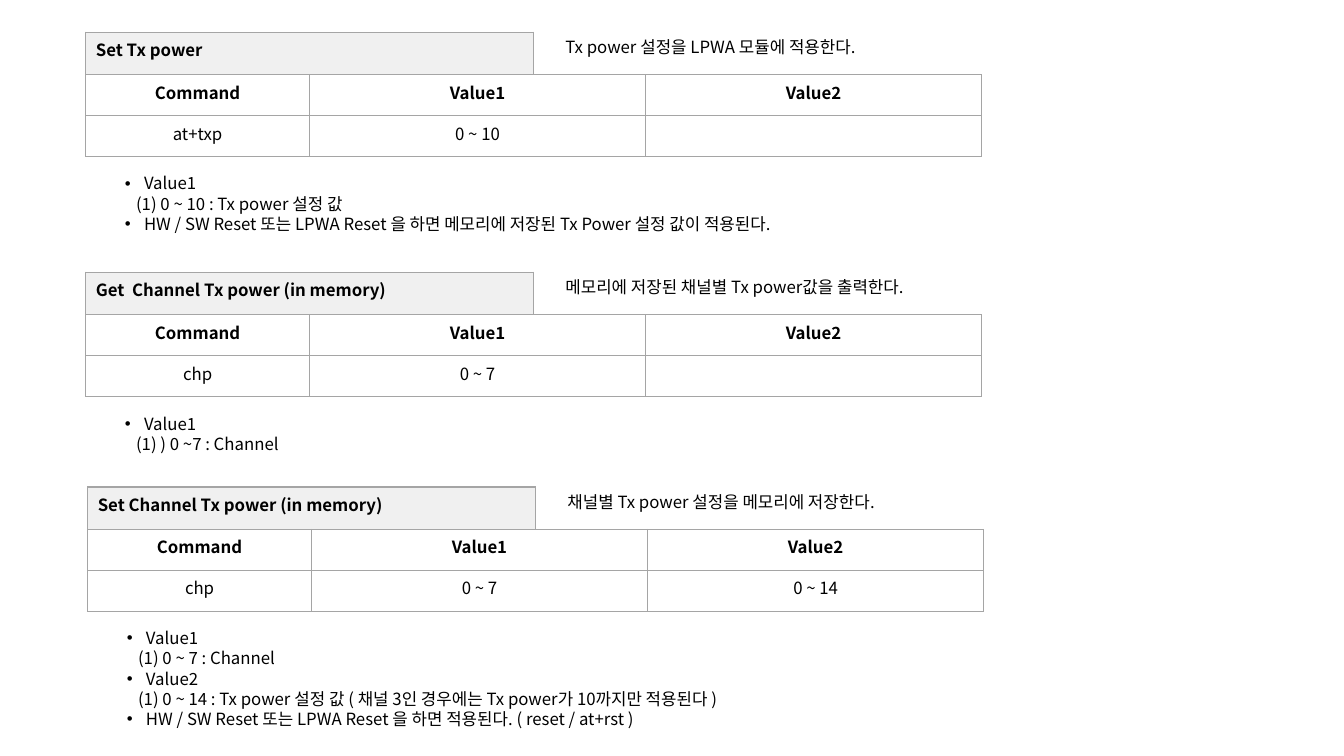
from lxml import etree
from pptx import Presentation
from pptx.dml.color import RGBColor
from pptx.enum import text
from pptx.oxml import ns
from pptx.util import Cm, Pt

FONT = "Noto Sans CJK KR"
COLORS = {"ink": "000000", "line": "A5A5A5", "header": "F0F0F0"}
HEADINGS = ["Command", "Value1", "Value2"]

# Content: left and top in cm; a note is (bulleted, text)
SECTIONS = [
    {
        "at": (2.16, 0.81),
        "name": "Set Tx power",
        "summary": "Tx power 설정을 LPWA 모듈에 적용한다.",
        "values": ["at+txp", "0 ~ 10", ""],
        "notes": [
            (True, "Value1"),
            (False, "(1) 0 ~ 10 : Tx power 설정 값"),
            (True, "HW / SW Reset 또는 LPWA Reset 을 하면 메모리에 저장된 Tx Power 설정 값이 적용된다."),
        ],
    },
    {
        "at": (2.16, 6.86),
        "name": "Get  Channel Tx power (in memory)",
        "summary": "메모리에 저장된 채널별 Tx power값을 출력한다.",
        "values": ["chp", "0 ~ 7", ""],
        "notes": [
            (True, "Value1"),
            (False, "(1) ) 0 ~7 : Channel"),
        ],
    },
    {
        "at": (2.21, 12.27),
        "name": "Set Channel Tx power (in memory)",
        "summary": "채널별 Tx power 설정을 메모리에 저장한다.",
        "values": ["chp", "0 ~ 7", "0 ~ 14"],
        "notes": [
            (True, "Value1"),
            (False, "(1) 0 ~ 7 : Channel"),
            (True, "Value2"),
            (False, "(1) 0 ~ 14 : Tx power 설정 값 ( 채널 3인 경우에는 Tx power가 10까지만 적용된다 )"),
            (True, "HW / SW Reset 또는 LPWA Reset 을 하면 적용된다. ( reset / at+rst )"),
        ],
    },
]

# Layout in cm, offsets from each section's corner
NAME_WIDTH, NAME_HEIGHT = 11.28, 1.07
COLUMN_WIDTHS, ROW_HEIGHT = [5.64, 8.47, 8.47], 1.03
SUMMARY_LEFT, SUMMARY_WIDTH = 11.84, 10
NOTES_LEFT, NOTES_TOP, NOTES_WIDTH = 0.74, 3.43, 18.03
FIRST_LINE, NEXT_LINE = 0.76, 0.52
HANGING, SUB_INDENT = 0.48, 0.28


def add_element(parent, tag, **attributes):
    return etree.SubElement(parent, ns.qn(tag), attributes)


def write(para, content, bold=False, align=text.PP_ALIGN.LEFT, bullet=False, indent=0):
    para.alignment = align
    if bullet or indent:
        properties = para._p.get_or_add_pPr()
        properties.set("marL", str(Cm(indent)))
        properties.set("indent", str(-Cm(indent) if bullet else 0))
        if bullet:
            add_element(properties, "a:buFont", typeface="Arial")
            add_element(properties, "a:buChar", char="•")
    if not content:
        add_element(para._p, "a:endParaRPr", sz="1200")
        return
    span = para.add_run()
    span.text = content
    span.font.name = FONT
    span.font.size = Pt(12)
    span.font.bold = bold
    span.font.color.rgb = RGBColor.from_string(COLORS["ink"])
    add_element(span._r.get_or_add_rPr(), "a:ea", typeface=FONT)


def add_borders(cell):
    properties = cell._tc.get_or_add_tcPr()
    for side in ("a:lnL", "a:lnR", "a:lnT", "a:lnB"):
        line = add_element(properties, side, w=str(Pt(1)))
        add_element(add_element(line, "a:solidFill"), "a:srgbClr", val=COLORS["line"])


def add_grid(page, left, top, widths, height, rows, fill=None, align=text.PP_ALIGN.CENTER):
    frame = page.shapes.add_table(len(rows), len(widths), Cm(left), Cm(top),
                                  Cm(sum(widths)), Cm(height * len(rows)))
    table = frame.table
    table.first_row = table.horz_banding = False
    for column, width in zip(table.columns, widths):
        column.width = Cm(width)
    for row_number, row in enumerate(rows):
        table.rows[row_number].height = Cm(height)
        for column_number, content in enumerate(row):
            cell = table.cell(row_number, column_number)
            add_borders(cell)
            if fill:
                cell.fill.solid()
                cell.fill.fore_color.rgb = RGBColor.from_string(fill)
            else:
                cell.fill.background()
            write(cell.text_frame.paragraphs[0], content, bold=row_number == 0, align=align)


def add_lines(page, left, top, width, lines):
    height = FIRST_LINE + NEXT_LINE * (len(lines) - 1)
    box = page.shapes.add_textbox(Cm(left), Cm(top), Cm(width), Cm(height))
    frame = box.text_frame
    frame.word_wrap = True
    for number, (content, style) in enumerate(lines):
        para = frame.add_paragraph() if number else frame.paragraphs[0]
        write(para, content, **style)


def add_section(page, section):
    left, top = section["at"]
    # Name bar and summary
    add_grid(page, left, top, [NAME_WIDTH], NAME_HEIGHT, [[section["name"]]],
             fill=COLORS["header"], align=text.PP_ALIGN.LEFT)
    add_lines(page, left + SUMMARY_LEFT, top, SUMMARY_WIDTH, [(section["summary"], {})])
    # Command table
    add_grid(page, left, top + NAME_HEIGHT, COLUMN_WIDTHS, ROW_HEIGHT,
             [HEADINGS, section["values"]])
    # Notes
    notes = [(content, {"bullet": bullet, "indent": HANGING if bullet else SUB_INDENT})
             for bullet, content in section["notes"]]
    add_lines(page, left + NOTES_LEFT, top + NOTES_TOP, NOTES_WIDTH, notes)


def main():
    deck = Presentation()
    deck.slide_width, deck.slide_height = Cm(33.87), Cm(19.05)
    page = deck.slides.add_slide(deck.slide_layouts[6])
    for section in SECTIONS:
        add_section(page, section)
    deck.save("out.pptx")


if __name__ == "__main__":
    main()
